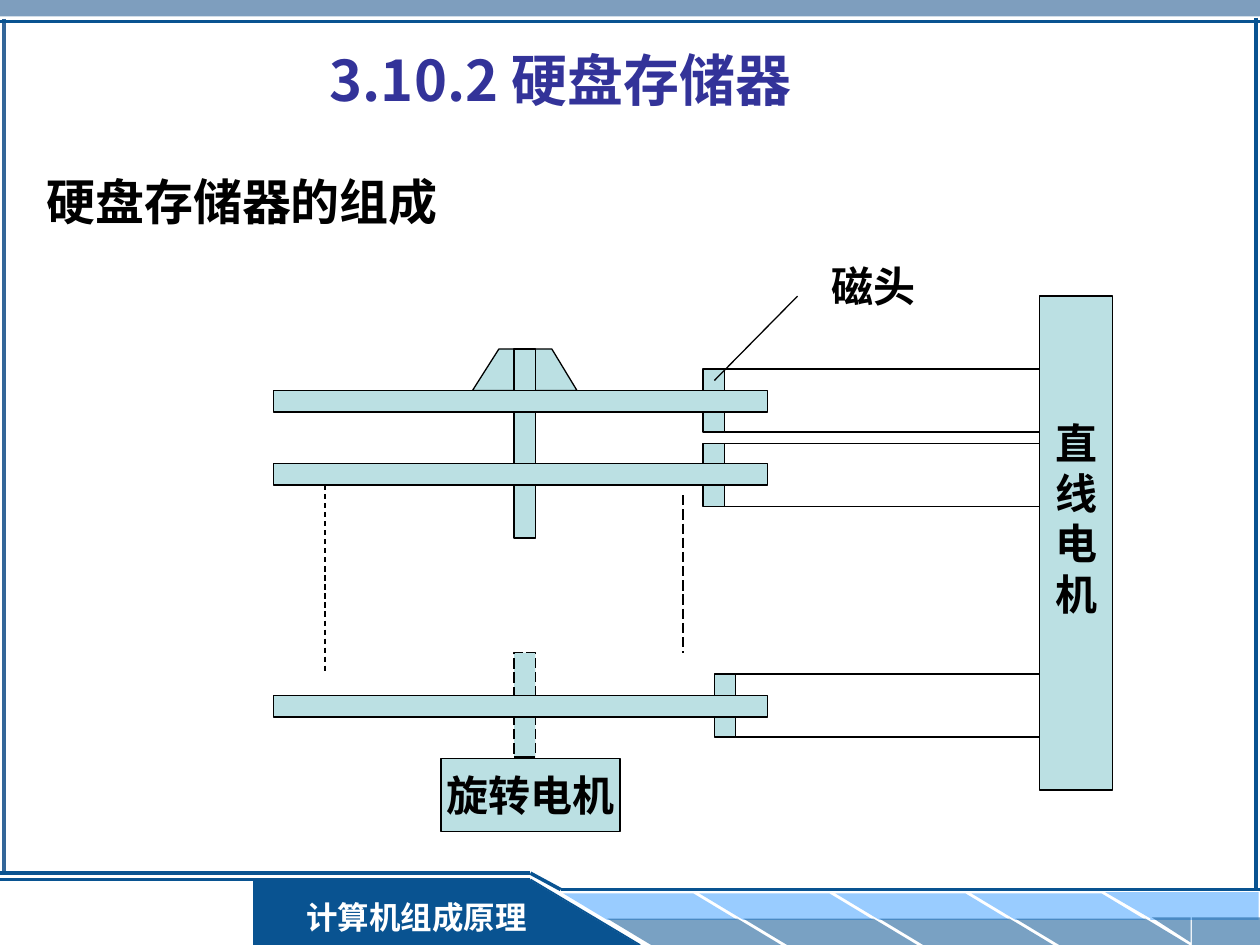
from lxml.etree import SubElement
from pptx import Presentation
from pptx.dml.color import RGBColor
from pptx.enum.dml import MSO_LINE as Dash
from pptx.enum.shapes import MSO_CONNECTOR as Connector, MSO_SHAPE as Shape
from pptx.enum.text import MSO_ANCHOR as Anchor, PP_ALIGN as Align
from pptx.oxml.ns import qn
from pptx.util import Inches, Pt

NAVY, SKY, STEEL, TEAL, BLACK = "095391", "99CCFF", "336699", "BBE0E3", "000000"
SERIF, SANS = "Times New Roman", "Noto Sans CJK SC"

TITLE = "3.10.2 硬盘存储器"
HEADING = "硬盘存储器的组成"
COURSE = "计算机组成原理"
HEAD_LABEL = "磁头"
SPINDLE_MOTOR = "旋转电机"
LINEAR_MOTOR = "直线电机"

FRAME_LINES = [
    ((0.03, 0.15), (0.03, 6.93), STEEL, 2),
    ((0, 0.17), (10, 0.17), NAVY, 2),
    ((9.97, 0.14), (9.97, 7.07), NAVY, 2),
]
FOOTER_LINES = [
    ((5.08, 7.5), (4.21, 6.98), NAVY, 1),
    ((4.21, 6.98), (0, 6.98), NAVY, 1.5),
    ((0, 6.93), (4.21, 6.93), NAVY, 2),
    ((4.21, 6.93), (4.45, 7.06), NAVY, 2),
    ((4.45, 7.06), (10, 7.06), NAVY, 2),
]
FOOTER_ENDS = [
    (Shape.RECTANGLE, (9.13, 7.08, 0.86, 0.22), SKY, 100, 0),
    (Shape.RIGHT_TRIANGLE, (8.77, 7.08, 0.38, 0.22), SKY, 100, 180),
    (Shape.RECTANGLE, (9.46, 7.28, 0.54, 0.22), NAVY, 54, 0),
    (Shape.RIGHT_TRIANGLE, (9.14, 7.28, 0.31, 0.2), NAVY, 54, 180),
]
TILE_COUNT, TILE_PITCH = 4, 1.08
TILE_ROWS = [(4.47, 7.09, SKY, 100), (4.82, 7.29, NAVY, 54)]

HEADS = [(5.58, 2.93), (5.58, 3.52), (5.67, 5.35)]
PLATTER_TOPS = [3.1, 3.68, 5.52]
HUB = [(3.75, 3.1), (3.96, 2.77), (4.38, 2.77), (4.58, 3.1)]
DIAGRAM_LINES = [
    ((2.58, 3.85), (2.58, 5.35), Dash.DASH),
    ((5.42, 3.93), (5.42, 5.18), Dash.LONG_DASH),
    ((5.67, 3.02), (6.33, 2.35), Dash.SOLID),
]

prs = Presentation()
prs.slide_width, prs.slide_height = Inches(10), Inches(7.5)
slide = prs.slides.add_slide(prs.slide_layouts[6])
shapes = slide.shapes


def rgb(value):
    return RGBColor.from_string(value)


def apply(target, values):
    for name, value in values.items():
        setattr(target, name, value)


def style(part, fill, outline=None, alpha=100, dash=None):
    part.shadow.inherit = False
    if fill:
        part.fill.solid()
        part.fill.fore_color.rgb = rgb(fill)
        if alpha < 100:
            color = part.fill._xPr.find(qn("a:solidFill"))[0]
            SubElement(color, qn("a:alpha")).set("val", str(alpha * 1000))
    else:
        part.fill.background()
    if outline:
        part.line.color.rgb = rgb(outline)
        apply(part.line, {"width": Pt(0.75), "dash_style": dash})
    else:
        part.line.fill.background()
    return part


def block(box, fill, kind=Shape.RECTANGLE, **look):
    return style(shapes.add_shape(kind, *map(Inches, box)), fill, **look)


def member(box, fill=TEAL, dash=None):
    return block(box, fill, outline=BLACK, dash=dash)


def rule(start, end, color=BLACK, width=0.75, dash=None):
    ends = map(Inches, start + end)
    connector = shapes.add_connector(Connector.STRAIGHT, *ends)
    connector.line.color.rgb = rgb(color)
    apply(connector.line, {"width": Pt(width), "dash_style": dash})
    SubElement(connector._element.spPr, qn("a:effectLst"))


def write(holder, lines, size, color=BLACK, font=SERIF, align=Align.CENTER, **frame_values):
    frame = holder.text_frame
    apply(frame, {
        "word_wrap": True, "vertical_anchor": Anchor.TOP,
        "margin_left": Inches(0.1), "margin_right": Inches(0.1),
        "margin_top": Inches(0.05), "margin_bottom": Inches(0.05),
        **frame_values,
    })
    for index, line in enumerate(lines):
        paragraph = frame.add_paragraph() if index else frame.paragraphs[0]
        paragraph.alignment = align
        run = paragraph.add_run()
        run.text = line
        apply(run.font, {"size": Pt(size), "bold": True, "name": font})
        run.font.color.rgb = rgb(color)
        SubElement(run._r.get_or_add_rPr(), qn("a:ea")).set("typeface", SANS)


def text_box(box, text, size, **values):
    write(shapes.add_textbox(*map(Inches, box)), [text], size, **values)


def draw_frame():
    block((0, 0, 10, 0.13), STEEL, alpha=63)
    for line in FRAME_LINES:
        rule(*line)


def draw_footer():
    block((2.01, 6.98, 2.2, 0.52), NAVY)
    for column in range(TILE_COUNT):
        for left, top, color, alpha in TILE_ROWS:
            box = (left + column * TILE_PITCH, top, 1.38, 0.21)
            tile = block(box, color, Shape.PARALLELOGRAM, alpha=alpha)
            tile.adjustments[0] = 1.66
            tile._element.spPr.xfrm.set("flipH", "1")
    for kind, box, color, alpha, turn in FOOTER_ENDS:
        block(box, color, kind, alpha=alpha).rotation = turn
    block((4.2, 6.98, 0.87, 0.52), NAVY, Shape.RIGHT_TRIANGLE)
    for line in FOOTER_LINES:
        rule(*line)
    write(block((2.28, 7.08, 2.05, 0.4), NAVY), [COURSE], 18, "FFFFFF")


def draw_drive():
    for left, top in HEADS:
        member((left + 0.17, top, 2.5, 0.5), None)
        member((left, top, 0.17, 0.5))
    member((4.08, 5.18, 0.17, 0.83), dash=Dash.LONG_DASH)
    outline = shapes.build_freeform(*map(Inches, HUB[0]), scale=1.0)
    outline.add_line_segments([tuple(map(Inches, point)) for point in HUB[1:]], close=True)
    style(outline.convert_to_shape(), TEAL, BLACK)
    member((4.08, 2.77, 0.17, 1.5))
    for top in PLATTER_TOPS:
        member((2.17, top, 3.92, 0.17))
    centred = {"vertical_anchor": Anchor.MIDDLE, "word_wrap": False}
    write(member((3.5, 6.02, 1.42, 0.58)), [SPINDLE_MOTOR], 24, **centred)
    write(member((8.25, 2.35, 0.58, 3.92)), LINEAR_MOTOR, 24,
          margin_bottom=Inches(0.45), **centred)
    for start, end, dash in DIAGRAM_LINES:
        rule(start, end, dash=dash)
    text_box((6.5, 2.02, 1.92, 0.5), HEAD_LABEL, 24, align=Align.LEFT)


draw_frame()
draw_footer()
text_box((0.2, 0, 8.5, 1.25), TITLE, 32, color="333399", font=SANS,
         vertical_anchor=Anchor.MIDDLE)
text_box((0.27, 1.31, 8.5, 1.08), HEADING, 28, font=SANS, align=Align.LEFT)
draw_drive()
prs.save("out.pptx")
